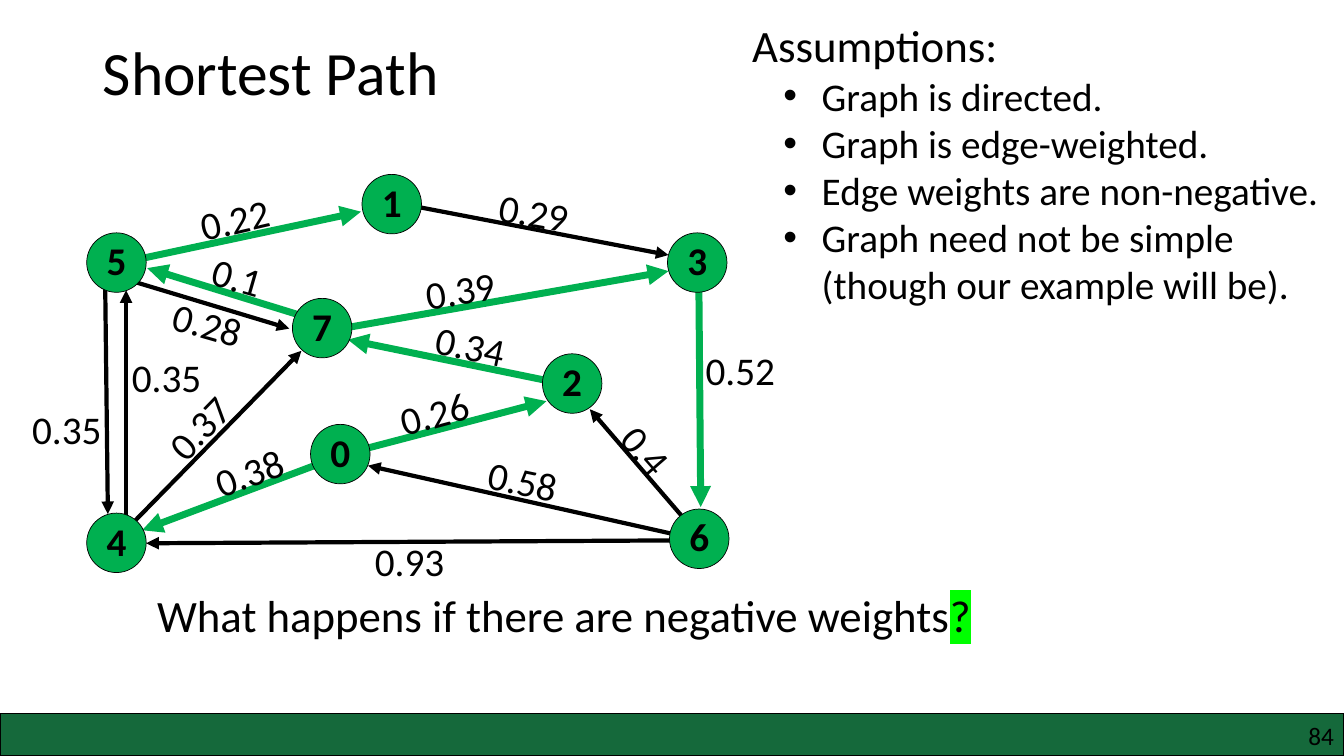
from lxml.etree import SubElement
from pptx import Presentation
from pptx.dml.color import RGBColor
from pptx.enum.shapes import MSO_CONNECTOR as Connector, MSO_SHAPE as Shape
from pptx.enum.text import MSO_ANCHOR as Anchor, MSO_AUTO_SIZE as AutoSize, PP_ALIGN as Align
from pptx.oxml import parse_xml
from pptx.oxml.ns import nsdecls, qn
from pptx.util import Inches, Pt

BLACK, GREEN, BAR, HIGHLIGHT = "000000", "00B050", "15693B", "00FF00"
NODE_SIZE = 0.59
NODES = {
    "0": (3.08, 4.21), "1": (3.59, 1.73), "2": (5.38, 3.51), "3": (6.62, 2.31),
    "4": (0.86, 5.09), "5": (0.86, 2.31), "6": (6.64, 5.05), "7": (2.9, 2.96),
}
EDGES = [
    ((6.97, 5.36), (5.85, 4.06), BLACK, "0.4", (6.04, 4.24, 0.85), 49),
    ((6.91, 5.35), (3.65, 4.62), BLACK, "0.58", (4.74, 4.51, 1.12), 12),
    ((6.93, 5.36), (1.45, 5.39), BLACK, "0.93", (3.62, 5.28, 1.12), 0),
    ((3.4, 4.51), (5.42, 3.98), GREEN, "0.26", (3.86, 3.78, 1.12), 345),
    ((3.41, 4.51), (1.41, 5.26), GREEN, "0.38", (2.02, 4.36, 1.12), 340),
    ((5.69, 3.83), (3.45, 3.37), GREEN, "0.34", (4.22, 3.17, 1.12), 12),
    ((1.13, 5.38), (2.99, 3.48), BLACK, "0.37", (1.5, 3.87, 1.12), 314),
    ((3.27, 3.28), (6.63, 2.69), GREEN, "0.39", (4.12, 2.57, 1.12), 351),
    ((6.93, 2.65), (6.95, 5.03), GREEN, "0.52", (6.9, 3.39, 1.12), 0),
    ((3.18, 3.19), (1.46, 2.66), GREEN, "0.1", (2, 2.52, 1.12), 16),
    ((1.08, 2.72), (2.87, 3.26), BLACK, "0.28", (1.61, 2.96, 1.12), 16),
    ((1.04, 2.53), (1.07, 5.1), BLACK, "0.35", (0.22, 3.97, 1.12), 0),
    ((1.25, 5.29), (1.25, 2.88), BLACK, "0.35", (1.21, 3.46, 1.12), 0),
    ((1.19, 2.61), (3.58, 2.1), GREEN, "0.22", (1.88, 1.86, 1.12), 347),
    ((3.92, 2.01), (6.63, 2.53), BLACK, "0.29", (4.85, 1.84, 1.12), 10),
]
ASSUMPTIONS = [
    "Graph is directed.",
    "Graph is edge-weighted.",
    "Edge weights are non-negative.",
    "Graph need not be simple (though our example will be).",
]


def paint(color_format, color):
    color_format.rgb = RGBColor.from_string(color)


def write(para, text, size=28, bold=False, align=Align.LEFT, highlight=None):
    para.alignment = align
    span = para.add_run()
    span.text = text
    span.font.size = Pt(size)
    span.font.bold = bold
    span.font.fill.solid()
    paint(span.font.fill.fore_color, BLACK)
    if highlight:
        mark = parse_xml(f'<a:highlight {nsdecls("a")}><a:srgbClr val="{highlight}"/></a:highlight>')
        span.font._element.find(qn("a:solidFill")).addnext(mark)
    span.font.name = "Calibri"


def set_bullet(para, bullet=None):
    properties = para._p.get_or_add_pPr()
    properties.set("marL", str(Inches(0.69) if bullet else 0))
    properties.set("indent", str(Inches(-0.38) if bullet else 0))
    if bullet:
        SubElement(properties, qn("a:buFont"), typeface="Arial")
        SubElement(properties, qn("a:buChar"), char=bullet)
    else:
        SubElement(properties, qn("a:buNone"))
    para.space_before = Pt(0)


class GraphSlide:
    """Draws a weighted directed graph and its notes on one page."""

    def __init__(self, deck):
        self.page = deck.slides.add_slide(deck.slide_layouts[1])
        self.shapes = self.page.shapes

    def place(self, holder, left, top, width, height, anchor):
        holder.left, holder.top = Inches(left), Inches(top)
        holder.width, holder.height = Inches(width), Inches(height)
        frame = holder.text_frame
        frame.auto_size = AutoSize.NONE
        frame.vertical_anchor = anchor
        return frame

    def title(self, text):
        frame = self.place(self.shapes.title, 0.92, 0.02, 11.5, 1.45, Anchor.MIDDLE)
        frame.paragraphs[0].line_spacing = 0.9
        write(frame.paragraphs[0], text, size=44)

    def bullets(self, heading, items):
        frame = self.place(self.page.placeholders[1], 7.36, 0.13, 6.02, 3, Anchor.TOP)
        set_bullet(frame.paragraphs[0])
        write(frame.paragraphs[0], heading, size=32)
        for item in items:
            para = frame.add_paragraph()
            set_bullet(para, "•")
            write(para, item)

    def text(self, left, top, width, height, text, rotation=0, inset=None, **style):
        box = self.shapes.add_textbox(Inches(left), Inches(top), Inches(width), Inches(height))
        box.rotation = rotation
        frame = box.text_frame
        frame.word_wrap = True
        if inset is not None:
            frame.margin_left = frame.margin_right = Inches(inset)
            frame.margin_top = frame.margin_bottom = Inches(inset)
        write(frame.paragraphs[0], text, **style)
        return frame.paragraphs[0]

    def shape(self, kind, left, top, width, height, color, line_width):
        shape = self.shapes.add_shape(kind, Inches(left), Inches(top), Inches(width), Inches(height))
        shape.shadow.inherit = False
        shape.fill.solid()
        paint(shape.fill.fore_color, color)
        paint(shape.line.color, BLACK)
        shape.line.width = Pt(line_width)
        return shape

    def node(self, name, left, top):
        circle = self.shape(Shape.OVAL, left, top, NODE_SIZE, NODE_SIZE, GREEN, 0.5)
        frame = circle.text_frame
        frame.margin_left = frame.margin_right = frame.margin_top = 0
        frame.margin_bottom = Inches(0.05)
        frame.vertical_anchor = Anchor.MIDDLE
        frame.word_wrap = False
        write(frame.paragraphs[0], name, bold=True, align=Align.CENTER)

    def arrow(self, start, end, color):
        points = [Inches(value) for value in start + end]
        arrow = self.shapes.add_connector(Connector.STRAIGHT, *points)
        paint(arrow.line.color, color)
        arrow.line.width = Pt(5 if color == GREEN else 3)
        SubElement(arrow.line._get_or_add_ln(), qn("a:tailEnd"), type="triangle")
        SubElement(arrow._element.spPr, qn("a:effectLst"))


def main():
    deck = Presentation()
    deck.slide_width, deck.slide_height = Inches(13.33), Inches(7.5)
    slide = GraphSlide(deck)
    slide.title("Shortest Path")
    for start, end, color, *_ in EDGES:
        slide.arrow(start, end, color)
    for name, (left, top) in NODES.items():
        slide.node(name, left, top)
    for *_, weight, (left, top, width), rotation in EDGES:
        slide.text(left, top, width, 0.58, weight, rotation=rotation)
    slide.bullets("Assumptions:", ASSUMPTIONS)
    question = slide.text(1.46, 5.78, 11.5, 1.18, "What happens if there are negative weights", size=32)
    write(question, "?", size=32, highlight=HIGHLIGHT)
    slide.shape(Shape.RECTANGLE, 0, 7.08, 13.33, 0.42, BAR, 1)
    slide.text(12.77, 7.15, 0.46, 0.3, "84", inset=0, size=18, align=Align.RIGHT)
    deck.save("out.pptx")


if __name__ == "__main__":
    main()
